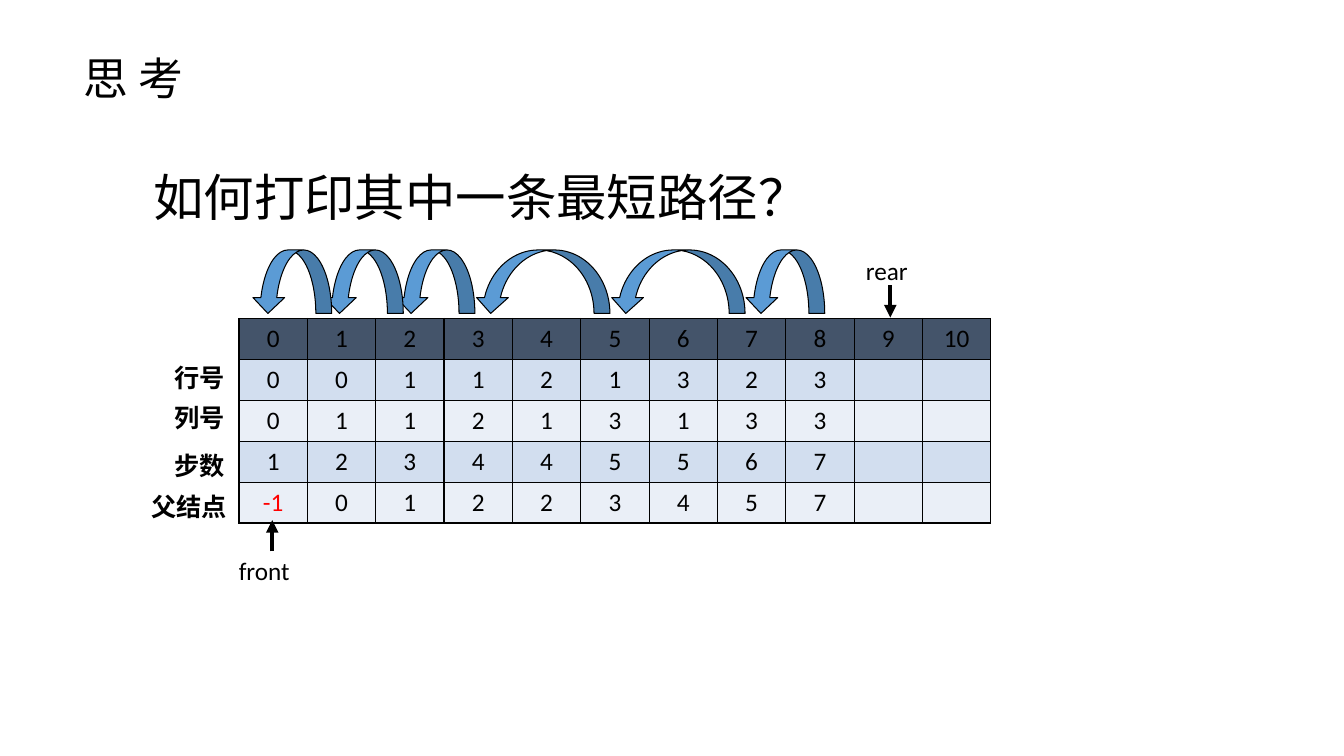
"""Builds the slide on printing one shortest path from a search queue."""
from lxml import etree
from pptx import Presentation
from pptx import util as u
from pptx.dml import color
from pptx.enum import shapes, text
from pptx.oxml import ns

SCALE = 9144
COLOURS = {
    "black": "000000",
    "red": "FF0000",
    "header": "44546A",
    "odd": "D2DEEF",
    "even": "EAEFF7",
    "arc": "5B9BD5",
}
LATIN, HAN = "Calibri", "Noto Sans CJK SC"


def px(length):
    """Turn whole px into EMU."""
    return u.Emu(length * SCALE)


def rgb(name):
    """Look up a colour by name."""
    return color.RGBColor.from_string(COLOURS[name])


def write_text(frame, content, size=18, font=LATIN, colour="black", bold=False,
               align=text.PP_ALIGN.LEFT, spacing=None):
    """Write one formatted paragraph into a text frame."""
    paragraph = frame.paragraphs[0]
    paragraph.alignment = align
    if spacing:
        paragraph.line_spacing = spacing
    run = paragraph.add_run()
    run.text = content
    run.font.size = u.Pt(size)
    run.font.name = font
    run.font.bold = bold
    run.font.color.rgb = rgb(colour)
    east_asian = etree.SubElement(run.font._element, ns.qn("a:ea"))
    east_asian.set("typeface", HAN)


class QueueSlide:
    """Holds the slide and draws its kinds of element."""

    def __init__(self, deck):
        """Add a title-only slide to the deck."""
        self.slide = deck.slides.add_slide(deck.slide_layouts[5])
        self.shapes = self.slide.shapes

    def title(self, content, left, top, width, height):
        """Place and format the title placeholder."""
        title = self.shapes.title
        title.left, title.top = px(left), px(top)
        title.width, title.height = px(width), px(height)
        title.text_frame.vertical_anchor = text.MSO_ANCHOR.MIDDLE
        write_text(title.text_frame, content, size=32, font=HAN)

    def label(self, content, left, top, width, height=40, parent=None,
              wrap=False, inset=10, **style):
        """Add a text box to the slide or to a group."""
        box = (parent or self.shapes).add_textbox(
            px(left), px(top), px(width), px(height))
        box.text_frame.word_wrap = wrap
        box.text_frame.margin_left = px(inset)
        write_text(box.text_frame, content, **style)

    def table(self, rows, left, top, width, height):
        """Add the queue table with banded rows and thin borders."""
        frame = self.shapes.add_table(
            len(rows), len(rows[0]), px(left), px(top), px(width), px(height))
        for row_number, row in enumerate(rows):
            band = ("odd" if row_number % 2 else "even") if row_number else "header"
            for column, value in enumerate(row):
                cell = frame.table.cell(row_number, column)
                self.border(cell)
                cell.fill.solid()
                cell.fill.fore_color.rgb = rgb(band)
                if value != "":
                    write_text(cell.text_frame, str(value),
                               colour="red" if value == -1 else "black",
                               align=text.PP_ALIGN.CENTER)

    def border(self, cell):
        """Draw a black line on all four sides of a cell."""
        properties = cell._tc.get_or_add_tcPr()
        for side in ("lnL", "lnR", "lnT", "lnB"):
            line = etree.SubElement(properties, ns.qn(f"a:{side}"), w=str(u.Pt(1)))
            fill = etree.SubElement(line, ns.qn("a:solidFill"))
            etree.SubElement(fill, ns.qn("a:srgbClr"), val=COLOURS["black"])

    def pointer(self, name, left, top, width, x, start, end):
        """Add a named vertical pointer as a group of label and arrow."""
        group = self.shapes.add_group_shape().shapes
        self.label(name, left, top, width, parent=group)
        arrow = group.add_connector(
            shapes.MSO_CONNECTOR.STRAIGHT, px(x), px(start), px(x), px(end))
        arrow.line.color.rgb = rgb("black")
        arrow.line.width = u.Pt(3)
        etree.SubElement(arrow.line._get_or_add_ln(), ns.qn("a:tailEnd"),
                         type="triangle")
        etree.SubElement(arrow._element.spPr, ns.qn("a:effectLst"))

    def parent_arc(self, left, width, top=248, height=63):
        """Add a curved arrow from a node back to its parent."""
        arc = self.shapes.add_shape(shapes.MSO_SHAPE.CURVED_DOWN_ARROW,
                                    px(left), px(top), px(width), px(height))
        arc.shadow.inherit = False
        arc.fill.solid()
        arc.fill.fore_color.rgb = rgb("arc")
        arc.line.color.rgb = rgb("black")
        arc.line.width = u.Pt(0.75)
        arc._element.spPr.find(ns.qn("a:xfrm")).set("flipH", "1")


def main():
    """Build and save the slide."""
    deck = Presentation()
    deck.slide_width, deck.slide_height = px(1333), px(750)
    slide = QueueSlide(deck)
    slide.title("思 考", 73, 39, 132, 76)
    slide.label("如何打印其中一条最短路径？", 109, 130, 921, 134,
                wrap=True, inset=43, size=36, spacing=1.5)

    indices = list(range(11))
    queue = [
        [0, 0, 1, 1, 2, 1, 3, 2, 3],
        [0, 1, 1, 2, 1, 3, 1, 3, 3],
        [1, 2, 3, 4, 4, 5, 5, 6, 7],
        [-1, 0, 1, 2, 2, 3, 4, 5, 7],
    ]
    unused = [""] * (len(indices) - len(queue[0]))
    slide.table([indices] + [row + unused for row in queue], 237, 316, 746, 203)

    for field, left, top, width in (("行号", 163, 355, 70), ("列号", 163, 394, 70),
                                    ("步数", 163, 442, 70), ("父结点", 140, 483, 95)):
        slide.label(field, left, top, width, bold=True)

    slide.pointer("rear", 849, 248, 66, x=883, start=283, end=315)
    slide.pointer("front", 227, 546, 78, x=270, start=547, end=516)

    short, long = 79, 134
    for left, width in ((739, short), (605, long), (471, long),
                        (392, short), (321, short), (250, short)):
        slide.parent_arc(left, width)
    deck.save("out.pptx")


if __name__ == "__main__":
    main()
